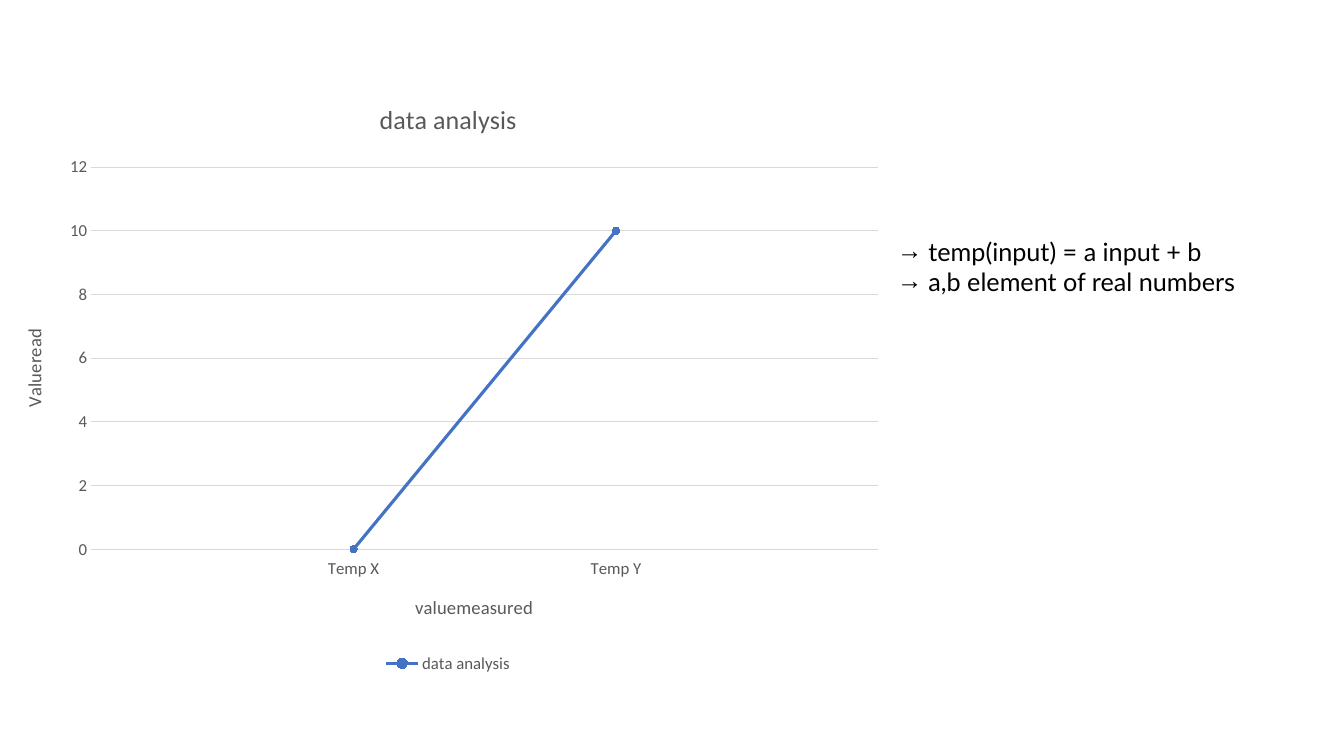
"""Build a slide with a temperature line chart beside two bulleted statements."""
from dataclasses import dataclass

from lxml import etree
from pptx import Presentation
from pptx.chart.chart import Chart
from pptx.chart.data import CategoryChartData
from pptx.dml.color import RGBColor
from pptx.enum.chart import (
    XL_CHART_TYPE,
    XL_LEGEND_POSITION,
    XL_MARKER_STYLE,
    XL_TICK_LABEL_POSITION,
    XL_TICK_MARK,
)
from pptx.enum.text import MSO_AUTO_SIZE
from pptx.oxml.ns import qn
from pptx.slide import Slide
from pptx.text.text import Font
from pptx.util import Inches, Pt

LINE_MARKERS = XL_CHART_TYPE.LINE_MARKERS
LEGEND_BOTTOM = XL_LEGEND_POSITION.BOTTOM
CIRCLE = XL_MARKER_STYLE.CIRCLE
LABELS_LOW = XL_TICK_LABEL_POSITION.LOW
LABELS_NEXT_TO_AXIS = XL_TICK_LABEL_POSITION.NEXT_TO_AXIS
NO_TICKS = XL_TICK_MARK.NONE
FIT_SHAPE = MSO_AUTO_SIZE.SHAPE_TO_FIT_TEXT

BLACK = RGBColor(0x00, 0x00, 0x00)
GRAY = RGBColor(0x59, 0x59, 0x59)
GRID = RGBColor(0xD9, 0xD9, 0xD9)
BLUE = RGBColor(0x44, 0x72, 0xC4)

CATEGORIES = ("", "Temp X", "Temp Y", "")
READINGS = (None, 0, 10, None)
SERIES_NAME = "data analysis"
STATEMENTS = ("temp(input) = a input + b", "a,b element of real numbers")
BULLET_INDENT = Inches(0.31)


@dataclass(frozen=True)
class Box:
    left: float
    top: float
    width: float
    height: float

    def lengths(self) -> tuple[int, int, int, int]:
        return (Inches(self.left), Inches(self.top),
                Inches(self.width), Inches(self.height))


CHART_BOX = Box(0, 0.79, 8.89, 5.93)
STATEMENT_BOX = Box(8.8, 2.29, 4.21, 0.71)


def style_font(font: Font, size: float, color: RGBColor = GRAY, name: str = "Calibri") -> None:
    font.name = name
    font.size = Pt(size)
    font.bold = False
    font.color.rgb = color


def set_title(owner, text: str, size: float) -> None:
    """Give a chart or an axis its title."""
    owner.has_title = True
    paragraph = (owner.chart_title if isinstance(owner, Chart) else owner.axis_title).text_frame.paragraphs[0]
    paragraph.text = text
    style_font(paragraph.runs[0].font, size)


def style_axes(chart: Chart) -> None:
    category_axis, value_axis = chart.category_axis, chart.value_axis
    for axis, title, position in (
        (category_axis, "valuemeasured", LABELS_LOW),
        (value_axis, "Valueread", LABELS_NEXT_TO_AXIS),
    ):
        set_title(axis, title, 13.3)
        axis.major_tick_mark = axis.minor_tick_mark = NO_TICKS
        axis.tick_label_position = position
        style_font(axis.tick_labels.font, 12)
    category_axis.has_major_gridlines = False
    value_axis.has_major_gridlines = True
    value_axis.format.line.fill.background()
    for line in (category_axis.format.line, value_axis.major_gridlines.format.line):
        line.color.rgb = GRID
        line.width = Pt(0.75)
    value_axis.minimum_scale, value_axis.maximum_scale = 0, 12
    value_axis.major_unit = 2


def place_points_on_ticks(chart: Chart) -> None:
    """Start the first category at the value axis."""
    axis = next(chart.element.iter(qn("c:valAx")))
    crossing = axis.find(qn("c:crossBetween"))
    if crossing is None:
        crossing = etree.Element(qn("c:crossBetween"))
        axis.find(qn("c:crosses")).addnext(crossing)
    crossing.set("val", "midCat")


def add_reading_chart(slide: Slide) -> None:
    data = CategoryChartData()
    data.categories = CATEGORIES
    data.add_series(SERIES_NAME, READINGS)
    chart = slide.shapes.add_chart(LINE_MARKERS, *CHART_BOX.lengths(), data).chart
    style_font(chart.font, 10, BLACK, "Arial")
    set_title(chart, SERIES_NAME, 18.6)
    chart.has_legend = True
    chart.legend.position = LEGEND_BOTTOM
    chart.legend.include_in_layout = False
    style_font(chart.legend.font, 12)
    style_axes(chart)
    place_points_on_ticks(chart)

    plot = chart.plots[0]
    plot.vary_by_categories = False
    series = plot.series[0]
    series.smooth = False
    series.format.line.color.rgb = BLUE
    series.format.line.width = Pt(2.25)
    marker = series.marker
    marker.style = CIRCLE
    marker.size = 5
    marker.format.fill.solid()
    marker.format.fill.fore_color.rgb = BLUE
    marker.format.line.color.rgb = BLUE


def add_statements(slide: Slide) -> None:
    frame = slide.shapes.add_textbox(*STATEMENT_BOX.lengths()).text_frame
    frame.word_wrap = True
    frame.auto_size = FIT_SHAPE
    frame.text = "\n".join(STATEMENTS)
    for paragraph in frame.paragraphs:
        properties = paragraph._p.get_or_add_pPr()
        properties.set("marL", str(BULLET_INDENT))
        properties.set("indent", str(-BULLET_INDENT))
        bullet_color = etree.SubElement(properties, qn("a:buClr"))
        etree.SubElement(bullet_color, qn("a:srgbClr"), val=str(BLACK))
        etree.SubElement(properties, qn("a:buFont"), typeface="Arial")
        etree.SubElement(properties, qn("a:buChar"), char="→")
        style_font(paragraph.runs[0].font, 18, BLACK, "Lato")


def main() -> None:
    presentation = Presentation()
    presentation.slide_width = Inches(13.33)
    presentation.slide_height = Inches(7.5)
    slide = presentation.slides.add_slide(presentation.slide_layouts.get_by_name("Blank"))
    add_reading_chart(slide)
    add_statements(slide)
    presentation.save("out.pptx")


if __name__ == "__main__":
    main()
